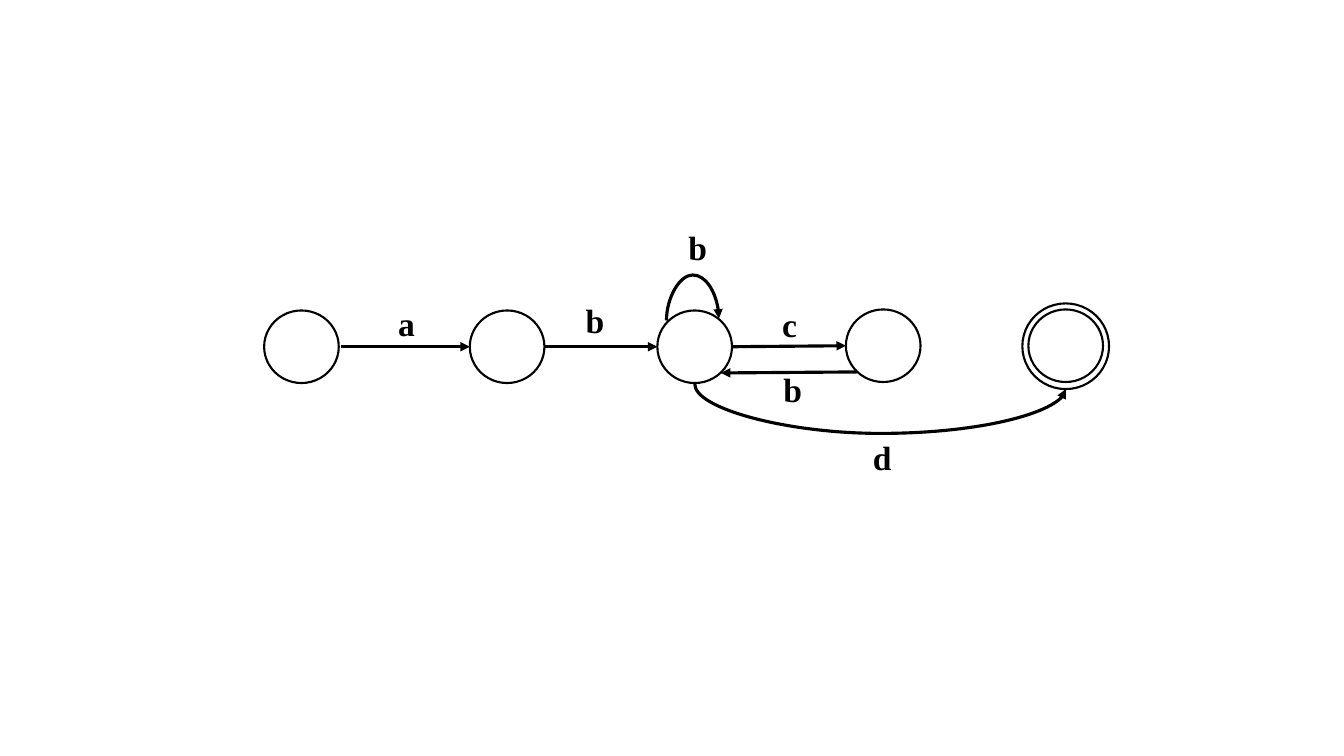
from typing import NamedTuple

from lxml.etree import SubElement
from pptx import Presentation
from pptx.dml.color import RGBColor
from pptx.enum.shapes import MSO_CONNECTOR as Link, MSO_SHAPE as Form
from pptx.enum.text import MSO_AUTO_SIZE as Fit
from pptx.oxml.ns import qn
from pptx.util import Inches, Pt

INK = "000000"
FONT = "Times New Roman"


class State(NamedTuple):
    left: float
    top: float
    width: float = 0.74
    height: float = 0.72


class Edge(NamedTuple):
    x1: float
    y1: float
    x2: float
    y2: float


class Arc(NamedTuple):
    x1: float
    y1: float
    x2: float
    y2: float
    peak: float  # height of the bend


class Label(NamedTuple):
    text: str
    left: float
    top: float


# The last two states form the double ring of the final state
STATES = [
    State(2.62, 3.08), State(4.66, 3.08), State(6.52, 3.08), State(8.39, 3.07),
    State(10.2, 3.07), State(10.14, 3.01, 0.86, 0.85),
]
EDGES = [
    Edge(3.38, 3.44, 4.66, 3.44), Edge(5.4, 3.44, 6.52, 3.44),
    Edge(7.26, 3.44, 8.39, 3.43), Edge(8.5, 3.69, 7.15, 3.7),
]
ARCS = [Arc(6.61, 3.18, 7.13, 3.16, 2.73), Arc(6.89, 3.81, 10.57, 3.86, 4.3)]
LABELS = [
    Label("a", 3.85, 2.96), Label("b", 5.71, 2.93), Label("b", 6.73, 2.2),
    Label("c", 7.66, 2.97), Label("b", 7.67, 3.61), Label("d", 8.56, 4.29),
]


def color(code: str) -> RGBColor:
    return RGBColor.from_string(code)


def stroke(line, width: float) -> None:
    line.color.rgb = color(INK)
    line.width = Pt(width)


def draw_state(slide, state: State) -> None:
    ring = slide.shapes.add_shape(Form.OVAL, *map(Inches, state))
    ring.shadow.inherit = False
    ring.fill.background()
    stroke(ring.line, 1.5)


def draw_link(slide, kind: Link, ends: Edge):
    link = slide.shapes.add_connector(kind, *map(Inches, ends))
    stroke(link.line, 2.25)
    props = link._element.spPr
    SubElement(props.find(qn("a:ln")), qn("a:tailEnd"), type="triangle")
    SubElement(props, qn("a:effectLst"))
    return link


def draw_arc(slide, arc: Arc) -> None:
    # The curve lies sideways: its width is the rise, its height the span
    rise, span = abs(arc.y2 - arc.y1), arc.x2 - arc.x1
    mid_x, mid_y = (arc.x1 + arc.x2) / 2, (arc.y1 + arc.y2) / 2
    upward = arc.peak < arc.y1
    half = span / 2 if upward else -span / 2
    ends = Edge(mid_x + rise / 2, mid_y + half, mid_x - rise / 2, mid_y - half)
    link = draw_link(slide, Link.CURVE, ends)
    props = link._element.spPr
    turn = 90 if upward else 270
    props.find(qn("a:xfrm")).set("rot", str(turn * 60000))
    bend = round(abs(arc.peak - arc.y1) / rise * 100000)
    guides = props.find(qn("a:prstGeom")).find(qn("a:avLst"))
    SubElement(guides, qn("a:gd"), name="adj1", fmla=f"val {bend}")


def draw_label(slide, label: Label) -> None:
    box = slide.shapes.add_textbox(
        Inches(label.left), Inches(label.top), Inches(0.59), Inches(0.5))
    frame = box.text_frame
    frame.word_wrap = True
    frame.auto_size = Fit.SHAPE_TO_FIT_TEXT
    run = frame.paragraphs[0].add_run()
    run.text = label.text
    run.font.name = FONT
    run.font.size = Pt(24)
    run.font.bold = True
    run.font.color.rgb = color(INK)


def main() -> None:
    deck = Presentation()
    deck.slide_width, deck.slide_height = Inches(13.33), Inches(7.5)
    slide = deck.slides.add_slide(deck.slide_layouts[6])

    # States
    for state in STATES:
        draw_state(slide, state)
    # Transitions
    for edge in EDGES:
        draw_link(slide, Link.STRAIGHT, edge)
    for arc in ARCS:
        draw_arc(slide, arc)
    # Symbols
    for label in LABELS:
        draw_label(slide, label)

    deck.save("out.pptx")


if __name__ == "__main__":
    main()
